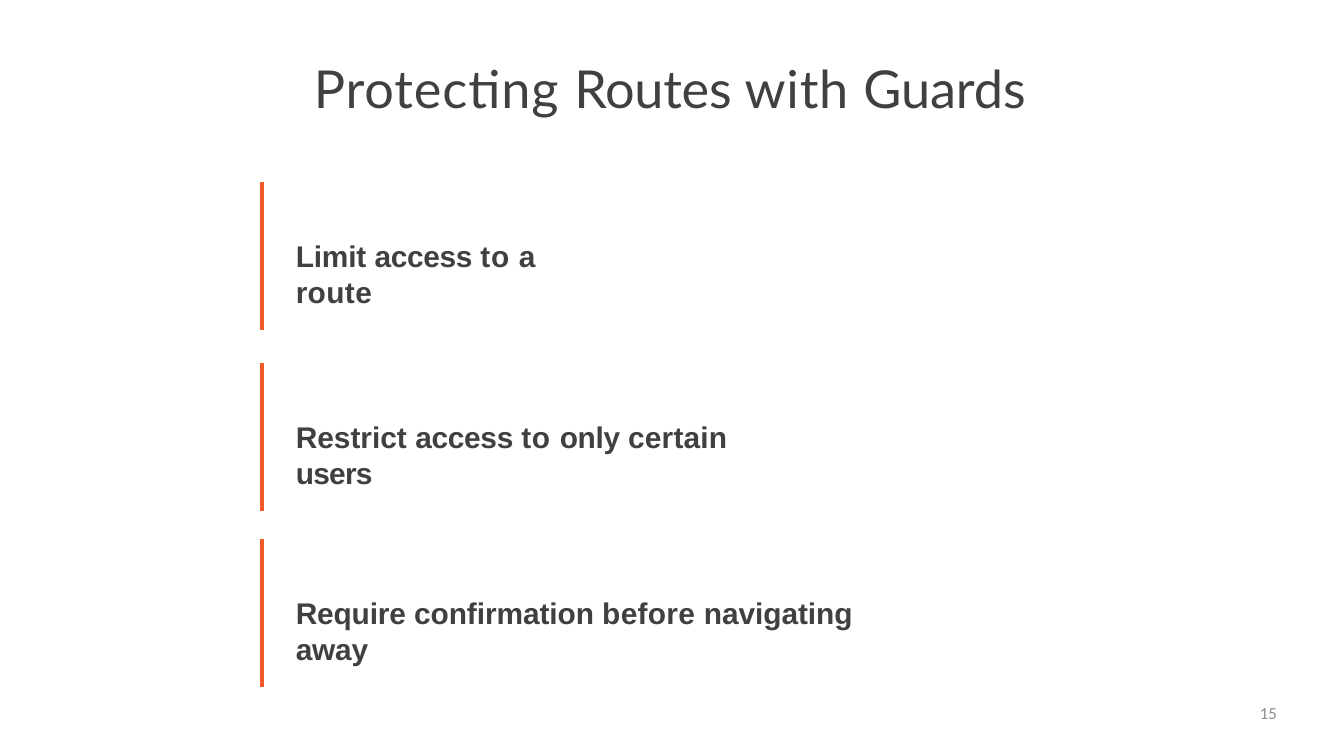
from pptx import Presentation
from pptx import util as u
from pptx.dml.color import RGBColor
from pptx.enum import shapes, text
from pptx.oxml.ns import qn
from lxml import etree

HUES = {"ink": "404040", "bar": "F05A28", "page": "8C8C8C"}


def hue(name):
    return RGBColor.from_string(HUES[name])


def write(para, runs, font="Arial", size=32, color="ink", bold=False, align="LEFT"):
    """Fill a paragraph from (words, letter spacing in points) pairs."""
    para.alignment = getattr(text.PP_ALIGN, align)
    for words, gap in runs:
        run = para.add_run()
        run.text = words
        face = run.font
        face.name, face.size, face.bold = font, u.Pt(size), bold
        face.color.rgb = hue(color)
        if gap:
            face._element.set("spc", str(round(gap * 100)))


class Deck:
    def __init__(self):
        self.prs = Presentation()
        self.prs.slide_width, self.prs.slide_height = u.Cm(50.8), u.Cm(28.58)
        self.slide = self.prs.slides.add_slide(self.prs.slide_layouts[6])

    def bar(self, x, y, length):
        line = self.slide.shapes.add_connector(
            shapes.MSO_CONNECTOR.STRAIGHT, u.Cm(x), u.Cm(y), u.Cm(x), u.Cm(y + length))
        line.line.color.rgb = hue("bar")
        line.line.width = u.Pt(4)
        etree.SubElement(line._element.spPr, qn("a:effectLst"))

    def label(self, x, y, w, h, runs, top=0, right=0, **style):
        box = self.slide.shapes.add_textbox(u.Cm(x), u.Cm(y), u.Cm(w), u.Cm(h))
        frame = box.text_frame
        frame.word_wrap = True
        frame.auto_size = text.MSO_AUTO_SIZE.SHAPE_TO_FIT_TEXT
        frame.margin_left = frame.margin_bottom = 0
        frame.margin_top, frame.margin_right = u.Cm(top), u.Cm(right)
        write(frame.paragraphs[0], runs, **style)


# Top of each bar, width of its label, words with letter spacing
GUARDS = [
    (6.88, 12.24, [("Limit ", -0.2), ("access ", -0.4), ("to ", 0.7),
                   ("a ", -0.2), ("route", 0.4)]),
    (13.72, 19.48, [("Restrict ", 0), ("access ", -0.4), ("to ", 0.7),
                    ("only ", -0.4), ("certain ", 0.2), ("users", -0.8)]),
    (20.37, 24.13, [("Require ", -0.2), ("confirmation ", -0.1), ("before ", 0.3),
                    ("navigating ", -0.1), ("away", -0.2)]),
]


def main():
    deck = Deck()

    # Title
    deck.label(11.86, 2.08, 27.1, 2.44,
               [("Protecting ", 1), ("Routes ", -0.3), ("with ", 0.8), ("Guards", -0.1)],
               top=0.06, font="Lato", size=56)

    # Guards, each beside its bar
    for y, width, runs in GUARDS:
        deck.bar(9.91, y, 5.59)
        deck.label(11.18, y + 2.06, width, 1.42, runs, top=0.06, right=0.6, bold=True)

    # Page number
    deck.label(36.58, 26.57, 11.68, 1.42, [("15", 0)],
               font="Calibri", size=18, color="page", align="RIGHT")

    deck.prs.save("out.pptx")


if __name__ == "__main__":
    main()
